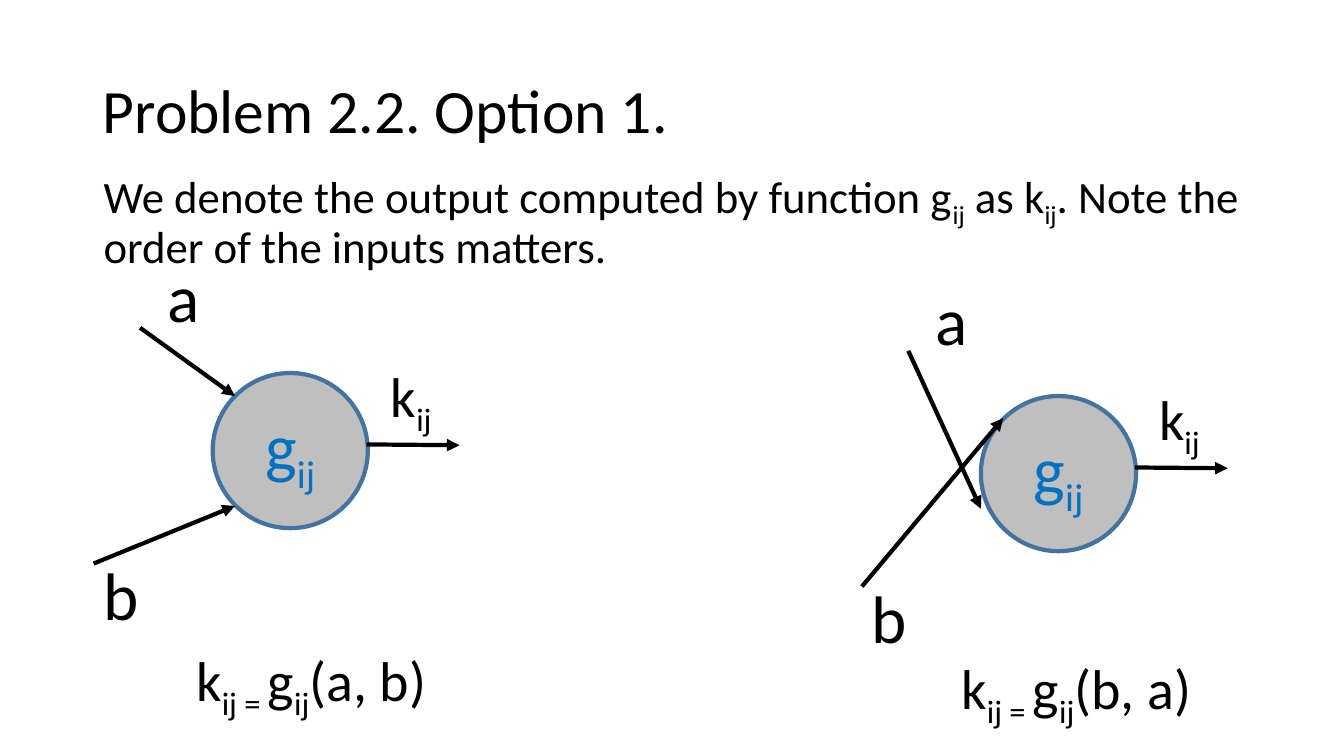
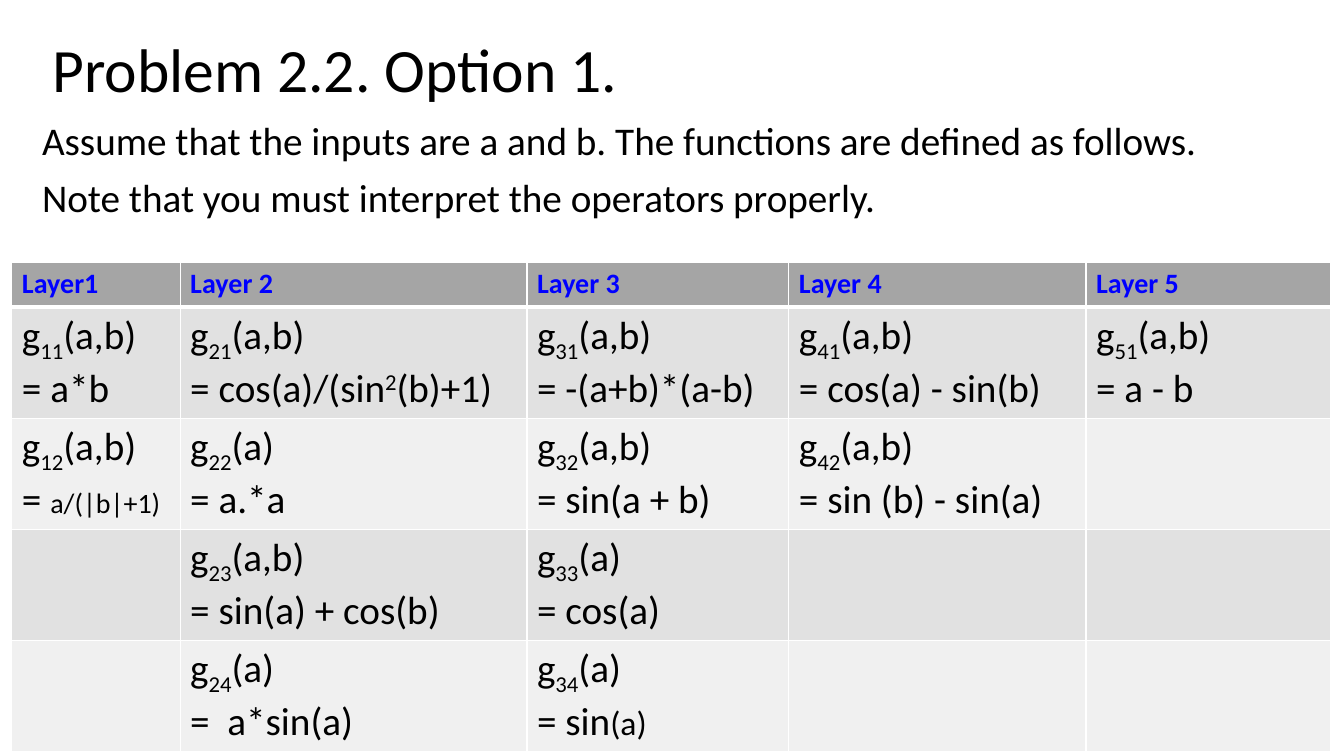
"""Build two slides on a layered function problem."""
from lxml import etree
from pptx import Presentation
from pptx import util as u
from pptx.dml.color import RGBColor
from pptx.enum import shapes, text
from pptx.oxml import ns

FONT = "Calibri"
TITLE = "Problem 2.2. Option 1."
HUES = {
    "ink": "000000", "node": "BFBFBF", "rim": "43739E", "func": "0070C0",
    "label": "0000FF", "head": "A5A5A5", "odd": "E1E1E1", "even": "F0F0F0",
    "rule": "FFFFFF",
}
SUB = -25
IJ = ("ij", SUB)


def hue(name):
    """Return the named colour."""
    return RGBColor.from_string(HUES[name])


def add(parent, tag, **attrs):
    """Append a drawing element to its parent."""
    return etree.SubElement(parent, ns.qn(tag), attrs)


def write(frame, paras, size, ink="ink", bold=False, lead=None, gap=0, align=None):
    """Write paragraphs whose runs are text or (text, baseline, size)."""
    for i, runs in enumerate(paras):
        para = frame.add_paragraph() if i else frame.paragraphs[0]
        para.line_spacing = lead
        para.alignment = align
        if i and gap:
            para.space_before = u.Pt(gap)
        for part in runs:
            part = (part,) if isinstance(part, str) else part
            words, base, own = (part + (0, size))[:3] if len(part) == 1 else (part + (size,))[:3]
            run = para.add_run()
            run.text = words
            font = run.font
            font.name, font.size, font.bold = FONT, u.Pt(own), bold
            font.color.rgb = hue(ink)
            if base:
                font._element.set("baseline", str(base * 1000))


def box(slide, rect, paras, size, wrap=True, mid=False, **style):
    """Place a text box."""
    frame = slide.shapes.add_textbox(*map(u.Cm, rect)).text_frame
    frame.word_wrap = wrap
    if mid:
        frame.vertical_anchor = text.MSO_ANCHOR.MIDDLE
    write(frame, paras, size, **style)


def title(slide, x, y):
    """Place the shared slide title."""
    box(slide, (x, y, 29.21, 3.68), [[TITLE]], 44, mid=True, lead=0.9)


def body(slide, rect, paras, size):
    """Place the introductory text."""
    box(slide, rect, paras, size, lead=0.9, gap=10)


def arrow(slide, x, y, start, end):
    """Draw an arrow between two points of a box at x, y."""
    ends = [u.Cm(p + o) for point in (start, end) for p, o in zip(point, (x, y))]
    line = slide.shapes.add_connector(shapes.MSO_CONNECTOR.STRAIGHT, *ends)
    line.line.color.rgb = hue("ink")
    line.line.width = u.Pt(3)
    add(line.line._get_or_add_ln(), "a:tailEnd", type="triangle")
    add(line._element.spPr, "a:effectLst")


def node(slide, x, y, tip_a, tip_b, args, spot):
    """Draw a function node with inputs, output and formula."""
    disc = slide.shapes.add_shape(
        shapes.MSO_SHAPE.OVAL, u.Cm(x + 3), u.Cm(y + 3.1), u.Cm(3.91), u.Cm(3.91))
    disc.shadow.inherit = False
    disc.fill.solid()
    disc.fill.fore_color.rgb = hue("node")
    disc.line.color.rgb = hue("rim")
    disc.line.width = u.Pt(3)
    disc.text_frame.vertical_anchor = text.MSO_ANCHOR.MIDDLE
    write(disc.text_frame, [["g", IJ]], 48, "func", align=text.PP_ALIGN.CENTER)
    for start, end in (((1.17, 1.96), tip_a), ((0, 7.9), tip_b), ((6.88, 4.9), (9.22, 4.92))):
        arrow(slide, x, y, start, end)
    labels = (
        ((7.24, 2.69), (1.6, 1.96), ["k", IJ], 40),
        (spot, (6.6, 1.96), ["k", ("ij = ", SUB), "g", IJ, args], 40),
        ((1.6, 0), (1.32, 2.31), ["a"], 48),
        ((0, 7.52), (1.42, 2.31), ["b"], 48),
    )
    for (dx, dy), area, runs, size in labels:
        box(slide, (x + dx, y + dy, *area), [runs], size, wrap=False)


def cell(spot, paras, fill, base=1, **style):
    """Fill a table cell and rule its edges."""
    props = spot._tc.get_or_add_tcPr()
    for side in "LRTB":
        wide = base if side == "B" else 1
        edge = add(props, "a:ln" + side, w=str(u.Pt(wide)))
        add(add(edge, "a:solidFill"), "a:srgbClr", val=HUES["rule"])
    spot.fill.solid()
    spot.fill.fore_color.rgb = hue(fill)
    write(spot.text_frame, paras, **style)


def grid(slide, x, y, cols, heads, rows):
    """Draw the table of layer functions."""
    tall = [1.14] + [2.8] * len(rows)
    table = slide.shapes.add_table(
        len(tall), len(cols), *map(u.Cm, (x, y, sum(cols), sum(tall)))).table
    for col, wide in zip(table.columns, cols):
        col.width = u.Cm(wide)
    for row, high in zip(table.rows, tall):
        row.height = u.Cm(high)
    for c, head in enumerate(heads):
        cell(table.cell(0, c), [[head]], "head", 3, size=20, ink="label", bold=True)
    for r, row in enumerate(rows, 1):
        for c in range(len(cols)):
            paras = []
            if c < len(row) and row[c]:
                args, *rule = row[c]
                paras = [["g", (f"{c + 1}{r}", SUB), args], rule]
            cell(table.cell(r, c), paras, "odd" if r % 2 else "even", size=28)


def graph(slide):
    """Build the slide on input order."""
    title(slide, 2.34, 1.02)
    body(slide, (2.36, 4.14, 29.21, 12.09), [[
        "We denote the output computed by function g", IJ, " as k", IJ,
        ". Note the order of the inputs matters."]], 32)
    node(slide, 2.36, 6.3, (3.56, 3.68), (3.56, 6.45), "(a, b)", (2.34, 9.83))
    node(slide, 21.72, 6.88, (3, 5.94), (3.56, 3.66), "(b, a)", (2.26, 9.47))


def layers(slide):
    """Build the slide of function definitions."""
    title(slide, 1.07, 0)
    body(slide, (0.81, 2.95, 32.23, 12.09), [
        ["Assume that the inputs are a and b. The functions are defined as follows."],
        ["Note that you must interpret the operators properly."]], 28)
    one, two = "(a)", "(a,b)"
    rows = [
        [(two, "= a*b"), (two, "= cos(a)/(sin", ("2", 30), "(b)+1)"),
         (two, "= -(a+b)*(a-b)"), (two, "= cos(a) - sin(b)"), (two, "= a - b")],
        [(two, "= ", ("a/(|b|+1)", 0, 20)), (one, "= a.*a"),
         (two, "= sin(a + b)"), (two, "= sin (b) - sin(a)")],
        [None, (two, "= sin(a) + cos(b)"), (one, "= cos(a)")],
        [None, (one, "=  a*sin(a)"), (one, "= sin", ("(a)", 0, 24))],
    ]
    heads = ["Layer1", "Layer 2", "Layer 3", "Layer 4", "Layer 5"]
    grid(slide, 0.3, 6.6, [4.24, 8.74, 6.6, 7.49, 6.17], heads, rows)


def main():
    """Build and save the deck."""
    deck = Presentation()
    deck.slide_width, deck.slide_height = u.Cm(33.87), u.Cm(19.05)
    for build in (graph, layers):
        build(deck.slides.add_slide(deck.slide_layouts[6]))
    deck.save("out.pptx")


if __name__ == "__main__":
    main()
